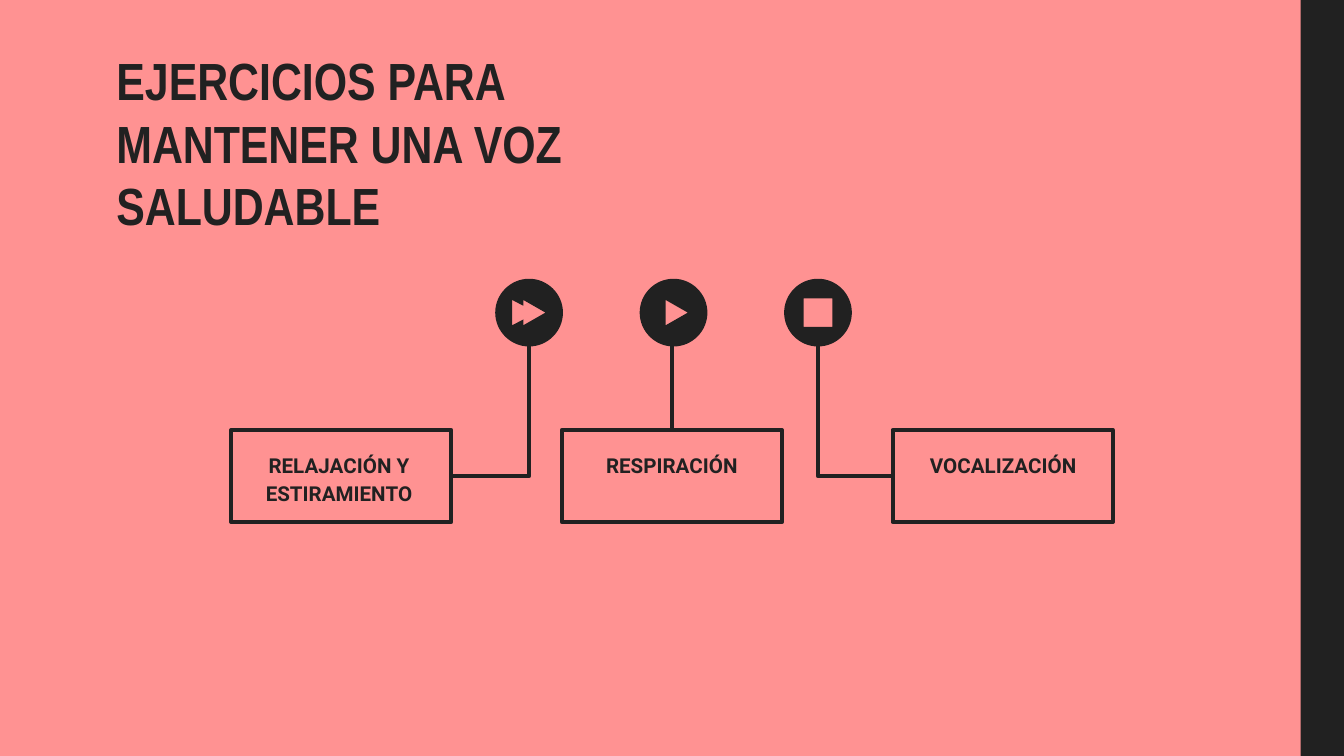
from dataclasses import dataclass

from lxml import etree
from pptx import Presentation
from pptx.dml.color import RGBColor
from pptx.enum import shapes, text
from pptx.oxml.ns import qn
from pptx.util import Cm, Pt


@dataclass(frozen=True)
class Theme:
    dark: RGBColor = RGBColor.from_string("212121")
    pink: RGBColor = RGBColor.from_string("FF9292")
    head: str = "Arial Narrow"
    body: str = "Roboto"
    big: Pt = Pt(28)
    small: Pt = Pt(11)
    line: Pt = Pt(2.25)


THEME = Theme()
WIDE, HIGH = 25.4, 14.29
RADIUS, ARC = 0.64, 0.55
ICON_X, ICON_Y, ICON_STEP = 10.0, 5.91, 2.73
BOX_X, BOX_Y, BOX_STEP = 4.37, 8.13, 6.25
BOX_W, BOX_H = 4.16, 1.74

PLAY = [(-0.15, -0.24), (0.27, 0), (-0.15, 0.24)]
SKIP = [(-0.11, -0.24), (0.31, 0), (-0.11, 0.24), (-0.11, 0.13),
        (-0.32, 0.24), (-0.32, -0.24), (-0.11, -0.13)]
STOP = [(-0.27, -0.27), (0.27, -0.27), (0.27, 0.27), (-0.27, 0.27)]

# Symbol, label, then the label's left, width and height
STEPS = [
    (SKIP, "RELAJACIÓN Y ESTIRAMIENTO", 4.57, 3.68, 0.89),
    (PLAY, "RESPIRACIÓN", 10.01, 5.38, 1.3),
    (STOP, "VOCALIZACIÓN", 16.05, 5.82, 1.3),
]


def write(shape, words, font, size):
    frame = shape.text_frame
    frame.word_wrap = True
    frame.auto_size = text.MSO_AUTO_SIZE.NONE
    frame.margin_left = frame.margin_right = Cm(0.25)
    frame.margin_top = frame.margin_bottom = Cm(0.25)
    frame.text = words
    para = frame.paragraphs[0]
    para.font.name, para.font.size, para.font.bold = font, size, True
    para.font.color.rgb = THEME.dark
    return para


def add_title(slide, words):
    title = slide.shapes.title
    title.left, title.top = Cm(1.95), Cm(-1)
    title.width, title.height = Cm(10.74), Cm(5.72)
    para = write(title, words, THEME.head, THEME.big)
    para.alignment = text.PP_ALIGN.LEFT
    title.text_frame.vertical_anchor = text.MSO_ANCHOR.BOTTOM


def add_label(slide, words, x, w, h):
    box = slide.shapes.add_textbox(Cm(x), Cm(8.24), Cm(w), Cm(h))
    para = write(box, words, THEME.body, THEME.small)
    para.alignment = text.PP_ALIGN.CENTER
    para.line_spacing = 1.15
    para.space_after = Pt(16)


def add_rect(slide, x, y, w, h):
    rect = slide.shapes.add_shape(
        shapes.MSO_SHAPE.RECTANGLE, Cm(x), Cm(y), Cm(w), Cm(h))
    rect.shadow.inherit = False
    return rect


def fill_dark(shape):
    shape.fill.solid()
    shape.fill.fore_color.rgb = THEME.dark
    shape.line.fill.background()


def add_bar(slide):
    """Put the side bar on the layout, behind the slide's content."""
    bar = add_rect(slide, 24.58, 0, WIDE - 24.58, HIGH)
    fill_dark(bar)
    slide.slide_layout.shapes._spTree.append(bar._element)


def add_frame(slide, x):
    frame = add_rect(slide, x, BOX_Y, BOX_W, BOX_H)
    frame.fill.background()
    frame.line.color.rgb = THEME.dark
    frame.line.width = THEME.line


def disc_ring():
    """Give the start, control and end points of four quarter arcs."""
    ring, part = [], [(1, 0), (1, ARC), (ARC, 1)]
    for _ in range(4):
        ring += part
        part = [(-y, x) for x, y in part]
    return [(RADIUS * x, RADIUS * y) for x, y in ring + [(1, 0)]]


def bend_arcs(shape, count):
    """Turn each three of the first line segments into one curve."""
    lines = list(shape._element.iter(qn("a:lnTo")))[:count]
    for i in range(0, count, 3):
        curve = etree.Element(qn("a:cubicBezTo"))
        lines[i].addprevious(curve)
        for line in lines[i:i + 3]:
            curve.append(line[0])
            line.getparent().remove(line)


def add_icon(slide, x, symbol):
    """Draw a disc with the symbol cut out of it."""
    disc = disc_ring()
    rings = [[(Cm(x + dx), Cm(ICON_Y + dy)) for dx, dy in ring]
             for ring in (disc, symbol)]
    path = slide.shapes.build_freeform(*rings[0][0])
    path.add_line_segments(rings[0][1:])
    path.move_to(*rings[1][0])
    path.add_line_segments(rings[1][1:])
    icon = path.convert_to_shape()
    bend_arcs(icon, len(disc) - 1)
    icon.shadow.inherit = False
    fill_dark(icon)


def add_line(slide, kind, x1, y1, x2, y2):
    line = slide.shapes.add_connector(kind, Cm(x1), Cm(y1), Cm(x2), Cm(y2))
    line.line.color.rgb = THEME.dark
    line.line.width = THEME.line
    etree.SubElement(line._element.spPr, qn("a:effectLst"))
    return line


def add_bend(slide, x1, y1, x2, y2):
    """Go straight down from the first point, then sideways to the second."""
    mid_x, mid_y = (x1 + x2) / 2, (y1 + y2) / 2
    half_w, half_h = (y2 - y1) / 2, abs(x2 - x1) / 2
    right = x2 > x1
    if right:
        half_w = -half_w
    bend = add_line(slide, shapes.MSO_CONNECTOR.ELBOW, mid_x - half_w,
                    mid_y - half_h, mid_x + half_w, mid_y + half_h)
    props = bend._element.spPr
    props.find(qn("a:xfrm")).set("rot", str((270 if right else 90) * 60000))
    props.find(qn("a:prstGeom")).set("prst", "bentConnector2")


def main():
    deck = Presentation()
    deck.slide_width, deck.slide_height = Cm(WIDE), Cm(HIGH)
    slide = deck.slides.add_slide(deck.slide_layouts[5])
    slide.background.fill.solid()
    slide.background.fill.fore_color.rgb = THEME.pink

    add_bar(slide)
    add_title(slide, "EJERCICIOS PARA MANTENER UNA VOZ SALUDABLE")
    for i, (symbol, words, left, width, height) in enumerate(STEPS):
        add_frame(slide, BOX_X + i * BOX_STEP)
        add_icon(slide, ICON_X + i * ICON_STEP, symbol)
        add_label(slide, words, left, width, height)

    foot, mid = ICON_Y + RADIUS - 0.03, BOX_Y + BOX_H / 2
    add_bend(slide, ICON_X, foot, BOX_X + BOX_W, mid)
    add_bend(slide, ICON_X + 2 * ICON_STEP, foot, BOX_X + 2 * BOX_STEP, mid)
    add_line(slide, shapes.MSO_CONNECTOR.STRAIGHT, WIDE / 2, foot, WIDE / 2, BOX_Y)
    deck.save("out.pptx")


if __name__ == "__main__":
    main()
